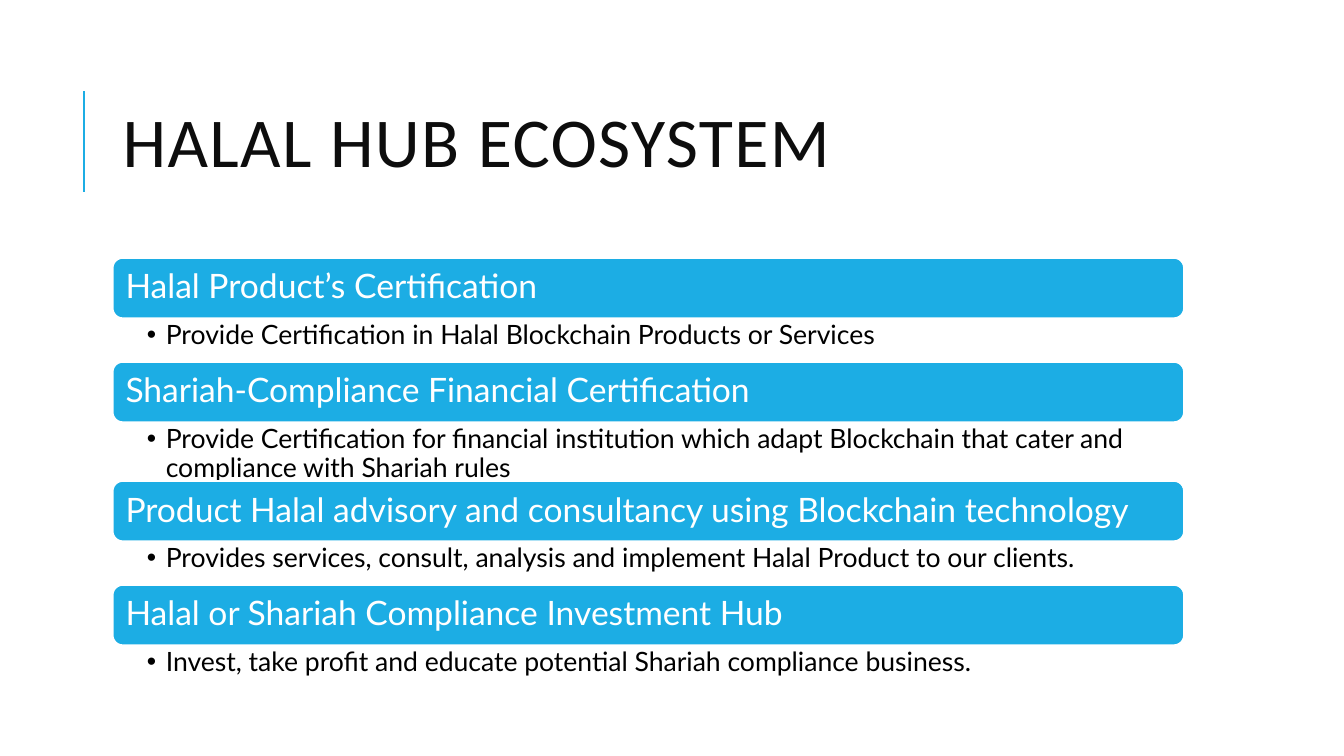
from dataclasses import dataclass

from lxml import etree
from pptx import Presentation
from pptx.dml.color import RGBColor
from pptx.enum.shapes import MSO_CONNECTOR, MSO_SHAPE
from pptx.enum.text import MSO_ANCHOR, MSO_AUTO_SIZE, PP_ALIGN
from pptx.oxml.ns import qn
from pptx.util import Cm, Pt

STRAIGHT = MSO_CONNECTOR.STRAIGHT
ROUNDED = MSO_SHAPE.ROUNDED_RECTANGLE
MIDDLE, TOP = MSO_ANCHOR.MIDDLE, MSO_ANCHOR.TOP
LEFT_ALIGNED = PP_ALIGN.LEFT
NO_AUTOFIT = MSO_AUTO_SIZE.NONE

BLUE, WHITE, BLACK, NEAR_BLACK = "1CADE4", "FFFFFF", "000000", "0D0D0D"
CONTENT_LEFT, CONTENT_WIDTH = 2.84, 27
SERVICES_TOP, BAR_HEIGHT = 6.5, 1.52
ONE_LINE, TWO_LINES = 1.1, 1.48
BULLET_INDENT = 0.48


@dataclass
class Service:
    heading: str
    detail: str
    detail_height: float = ONE_LINE


SERVICES = [
    Service("Halal Product’s Certification",
            "Provide Certification in Halal Blockchain Products or Services"),
    Service("Shariah-Compliance Financial Certification",
            "Provide Certification for financial institution which adapt Blockchain "
            "that cater and compliance with Shariah rules", TWO_LINES),
    Service("Product Halal advisory and consultancy using Blockchain technology",
            "Provides services, consult, analysis and implement Halal Product to our clients."),
    Service("Halal or Shariah Compliance Investment Hub",
            "Invest, take profit and educate potential Shariah compliance business."),
]


def colour(value: str) -> RGBColor:
    return RGBColor.from_string(value)


def write_text(shape, text: str, *, size: float, ink: str, font: str = "Lato",
               anchor=MIDDLE, line_spacing: float = 0.9,
               insets: tuple = (0.25, 0.25, 0.25, 0.25),
               tracking: float = 0, bullet: bool = False) -> None:
    frame = shape.text_frame
    frame.word_wrap = True
    frame.auto_size = NO_AUTOFIT
    frame.vertical_anchor = anchor
    (frame.margin_left, frame.margin_top,
     frame.margin_right, frame.margin_bottom) = [Cm(inset) for inset in insets]
    paragraph = frame.paragraphs[0]
    paragraph.alignment = LEFT_ALIGNED
    paragraph.line_spacing = line_spacing
    run = paragraph.add_run()
    run.text = text
    run.font.name = font
    run.font.size = Pt(size)
    run.font.color.rgb = colour(ink)
    if tracking:
        run.font._element.set("spc", str(round(tracking * 100)))
    if bullet:
        properties = paragraph._p.get_or_add_pPr()
        properties.set("marL", str(Cm(BULLET_INDENT)))
        properties.set("indent", str(-Cm(BULLET_INDENT)))
        etree.SubElement(properties, qn("a:buFont")).set("typeface", "Arial")
        etree.SubElement(properties, qn("a:buChar")).set("char", "•")


def add_title(slide, text: str) -> None:
    title = slide.shapes.title
    title.left, title.top = Cm(CONTENT_LEFT), Cm(1.63)
    title.width, title.height = Cm(CONTENT_WIDTH), Cm(4.17)
    write_text(title, text, size=50, ink=NEAR_BLACK, font="Calibri",
               line_spacing=0.8, insets=(0.25, 0.13, 0.25, 0.13), tracking=1)


def add_title_rule(slide) -> None:
    rule = slide.shapes.add_connector(STRAIGHT, Cm(2.11), Cm(4.83), Cm(2.11), Cm(2.29))
    rule.line.color.rgb = colour(BLUE)
    rule.line.width = Pt(1.5)
    etree.SubElement(rule._element.spPr, qn("a:effectLst"))


def add_service(slide, service: Service, top: float) -> float:
    bar = slide.shapes.add_shape(ROUNDED, Cm(CONTENT_LEFT), Cm(top),
                                 Cm(CONTENT_WIDTH), Cm(BAR_HEIGHT))
    bar.shadow.inherit = False
    bar.fill.solid()
    bar.fill.fore_color.rgb = colour(BLUE)
    bar.line.color.rgb = colour(WHITE)
    bar.line.width = Pt(1.25)
    write_text(bar, service.heading, size=24, ink=WHITE)

    detail_top = top + BAR_HEIGHT
    detail = slide.shapes.add_textbox(Cm(CONTENT_LEFT), Cm(detail_top),
                                      Cm(CONTENT_WIDTH), Cm(service.detail_height))
    write_text(detail, service.detail, size=19, ink=BLACK, anchor=TOP,
               insets=(0.86, 0.08, 0.48, 0.08), bullet=True)
    return detail_top + service.detail_height


presentation = Presentation()
presentation.slide_width, presentation.slide_height = Cm(33.87), Cm(19.05)
slide = presentation.slides.add_slide(presentation.slide_layouts.get_by_name("Title Only"))
add_title_rule(slide)
add_title(slide, "HALAL HUB ECOSYSTEM")
next_top = SERVICES_TOP
for service in SERVICES:
    next_top = add_service(slide, service, next_top)
presentation.save("out.pptx")
